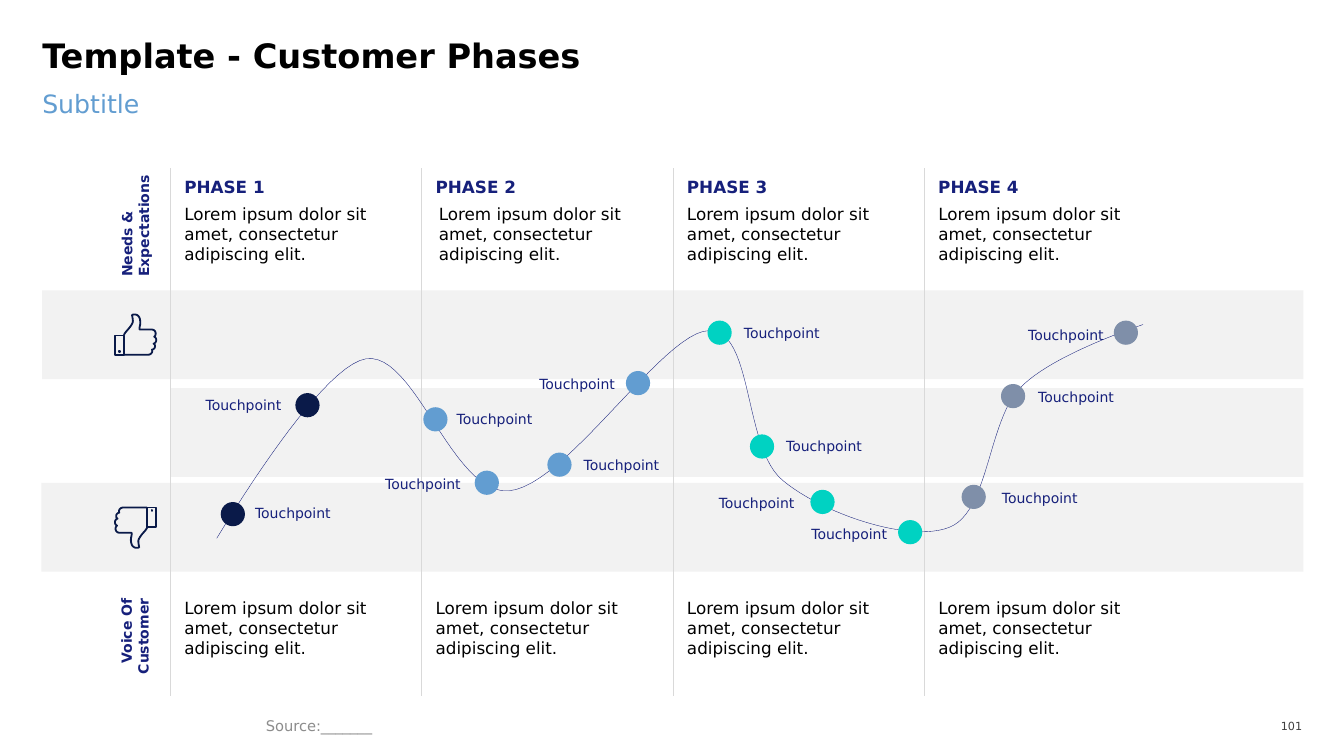
from pptx import Presentation
from pptx.dml.color import RGBColor
from pptx.enum.shapes import MSO_CONNECTOR, MSO_SHAPE
from pptx.enum.text import MSO_ANCHOR, MSO_AUTO_SIZE, PP_ALIGN
from pptx.oxml.ns import qn
from pptx.util import Pt
from lxml.etree import SubElement

FONT = "DejaVu Sans"
BLACK = RGBColor(0x00, 0x00, 0x00)
DARK = RGBColor(0x40, 0x40, 0x40)
GRAY = RGBColor(0x8C, 0x8C, 0x8C)
RULE = RGBColor(0xD9, 0xD9, 0xD9)
BAND = RGBColor(0xF2, 0xF2, 0xF2)
INDIGO = RGBColor(0x16, 0x20, 0x7B)
NAVY = RGBColor(0x0A, 0x1A, 0x49)
BLUE = RGBColor(0x62, 0x9D, 0xD1)
TEAL = RGBColor(0x00, 0xD2, 0xC2)
SLATE = RGBColor(0x7F, 0x8F, 0xA9)

LOREM = "Lorem ipsum dolor sit amet, consectetur adipiscing elit."
FIRST, STEP = 121.7, 179.5  # left rule and phase width
RIGHT, BAND_H = 931, 63.4

BANDS = [(30.2, 207.4), (FIRST, 277.2), (29.5, 344.9)]

# Dot left and top, label left and top, by phase
POINTS = [
    (NAVY, [(157.7, 358.6, 178.6, 358.6), (211, 280.8, 141.1, 281.5)]),
    (BLUE, [(302.4, 290.9, 322.6, 291.6), (339.1, 336.2, 269.3, 337.7),
            (391, 323.3, 413.3, 324), (447.1, 265, 379.4, 266.4)]),
    (TEAL, [(505.4, 229, 527.8, 229.7), (535.7, 310.3, 558, 310.3),
            (578.9, 349.9, 507.6, 351.4), (641.5, 371.5, 573.8, 373.7)]),
    (SLATE, [(686.9, 346.3, 712.1, 347.8), (715, 274.3, 738, 275.8),
             (795.6, 229, 728.6, 231.1)]),
]

# Bezier chains: a start, then two handles and an end for each piece
JOURNEY = [
    (154.8, 384.5), (154.8, 385.2), (226.8, 262.1), (261.4, 256.3),
    (296.6, 250.6), (323.3, 354.2), (363.6, 350.6),
    (404.6, 347), (473.8, 236.9), (506.2, 236.2),
    (538.6, 234.7), (530.6, 320.4), (559.4, 343.4),
    (588.2, 367.2), (650.2, 388.1), (678.2, 376.6),
    (706.3, 365.8), (705.6, 301), (728.6, 277.2),
    (751.7, 252.7), (817.2, 231.8), (816.5, 231.8),
]
HAND = [
    (7.2, 15.8), (7.2, 13.7), (11.5, 10.8), (13.3, 6.8),
    (14, 5), (13, 2.2), (13, 1.1),
    (14.4, 0.4), (18.7, 0), (18.9, 6.1),
    (18.9, 8.6), (18, 10.1), (18.4, 11.5),
    (21, 11.5), (24, 11.5), (27, 11.5),
    (30.2, 11.5), (30.6, 15.5), (28.8, 16.6),
    (31, 17.5), (30.6, 21.2), (28.4, 21.6),
    (30.2, 22.6), (29.5, 25.6), (27.2, 25.9),
    (28, 27.4), (26.6, 29.5), (24.5, 29.5),
    (19, 29.5), (13, 29.5), (7.2, 29.5),
]
CUFF = [(0.7, 15.8), (7.2, 15.8), (7.2, 29.5), (0.7, 29.5), (0.7, 15.8)]
BUTTON = [(3.6, 27), (4.1, 27), (4.1, 27.5), (3.6, 27.5), (3.6, 27)]


def add_text(slide, box, text, size, color=BLACK, bold=False,
             align=PP_ALIGN.LEFT, anchor=MSO_ANCHOR.TOP,
             inset=(0, 0, 0, 0), wrap=True):
    """Add a text box; inset runs left, top, right, bottom."""
    shape = slide.shapes.add_textbox(*map(Pt, box))
    frame = shape.text_frame
    frame.text = text
    frame.word_wrap = wrap
    frame.auto_size = MSO_AUTO_SIZE.NONE if wrap else MSO_AUTO_SIZE.SHAPE_TO_FIT_TEXT
    frame.vertical_anchor = anchor
    (frame.margin_left, frame.margin_top,
     frame.margin_right, frame.margin_bottom) = map(Pt, inset)
    for para in frame.paragraphs:
        para.alignment = align
        for run in para.runs:
            run.font.name = FONT
            run.font.size = Pt(size)
            run.font.bold = bold
            run.font.color.rgb = color
    return shape


def add_solid(slide, kind, box, color):
    shape = slide.shapes.add_shape(kind, *map(Pt, box))
    shape.shadow.inherit = False
    shape.fill.solid()
    shape.fill.fore_color.rgb = color
    shape.line.fill.background()


def add_rule(slide, x):
    line = slide.shapes.add_connector(
        MSO_CONNECTOR.STRAIGHT, Pt(x), Pt(120.2), Pt(x), Pt(496.8))
    line.line.color.rgb = RULE
    line.line.width = Pt(0.25)
    SubElement(line._element.spPr, qn("a:effectLst"))


def smooth(chain, steps=24):
    """Turn a Bezier chain into a fine row of points."""
    dots = [chain[0]]
    for i in range(0, len(chain) - 1, 3):
        for n in range(1, steps + 1):
            t = n / steps
            parts = ((1 - t) ** 3, 3 * t * (1 - t) ** 2, 3 * t * t * (1 - t), t ** 3)
            dots.append(tuple(sum(w * p[axis] for w, p in zip(parts, chain[i:i + 4]))
                              for axis in (0, 1)))
    return dots


def add_path(slide, strokes, color, width, left=0, top=0):
    """Draw open strokes as one unfilled shape, moved by left and top."""
    strokes = [[((left + x) * 100, (top + y) * 100) for x, y in dots] for dots in strokes]
    pen = slide.shapes.build_freeform(*strokes[0][0], scale=Pt(1) / 100)
    for dots in strokes:
        pen.move_to(*dots[0])
        pen.add_line_segments(dots[1:], close=False)
    shape = pen.convert_to_shape()
    shape.shadow.inherit = False
    shape.fill.background()
    shape.line.color.rgb = color
    shape.line.width = Pt(width)
    return shape


def add_thumb(slide, top, turn):
    strokes = [smooth(HAND, 8), CUFF, BUTTON]
    add_path(slide, strokes, NAVY, 1.3, 81.4, top).rotation = turn


def add_side(slide, box, text, align):
    side = add_text(slide, box, text, 10, INDIGO, True, align,
                    inset=(7.2, 3.6, 7.2, 3.6), wrap=False)
    side.rotation = 270


def add_phase(slide, index):
    x = FIRST + index * STEP + 10
    shift = 2.2 if index == 1 else 0
    add_text(slide, (x, 122.4, 116, 21.6), f"PHASE {index + 1}", 12, INDIGO, True,
             inset=(0, 3.6, 7.2, 3.6))
    for left, top in ((x + shift, 141.8), (x, 423.5)):
        add_text(slide, (left, top, 159.8, 60), LOREM, 12, inset=(0, 3.6, 0, 3.6))


def add_touch(slide, color, x, y, left, top):
    add_solid(slide, MSO_SHAPE.OVAL, (x, y, 17.3, 17.3), color)
    align = PP_ALIGN.RIGHT if left < x else PP_ALIGN.LEFT
    add_text(slide, (left, top, 63.4, 15.8), "Touchpoint", 10, INDIGO, align=align,
             anchor=MSO_ANCHOR.MIDDLE, inset=(3.6, 2, 3.6, 2), wrap=False)


def main():
    deck = Presentation()
    deck.slide_width, deck.slide_height = Pt(960), Pt(540)
    slide = deck.slides.add_slide(deck.slide_layouts[6])

    title = add_text(slide, (30.2, 30.2, 899.3, 38.2), "Template - Customer Phases", 24, bold=True)
    title.text_frame.paragraphs[0].line_spacing = 0.8
    add_text(slide, (30.2, 63.4, 899.3, 45.4), "Subtitle", 18, BLUE)

    for left, top in BANDS:
        add_solid(slide, MSO_SHAPE.RECTANGLE, (left, top, RIGHT - left, BAND_H), BAND)
    for index in range(4):
        add_rule(slide, FIRST + index * STEP)
        add_phase(slide, index)

    add_thumb(slide, 223.9, 0)
    add_thumb(slide, 361.8, 180)
    add_side(slide, (53.3, 145.4, 87.1, 31.7), "Needs &\nExpectations", PP_ALIGN.LEFT)
    add_side(slide, (61.9, 439.2, 69.1, 31.7), "Voice Of\nCustomer", PP_ALIGN.RIGHT)

    add_path(slide, [smooth(JOURNEY)], INDIGO, 0.25)
    for color, spots in POINTS:
        for spot in spots:
            add_touch(slide, color, *spot)

    add_text(slide, (182.9, 509, 460.1, 18.7), "Source:_______", 10.5, GRAY,
             anchor=MSO_ANCHOR.MIDDLE, inset=(7.2, 3.6, 7.2, 3.6))
    add_text(slide, (900, 510.5, 30.2, 16.6), "101", 8, DARK,
             align=PP_ALIGN.RIGHT, anchor=MSO_ANCHOR.MIDDLE)
    deck.save("out.pptx")


if __name__ == "__main__":
    main()
